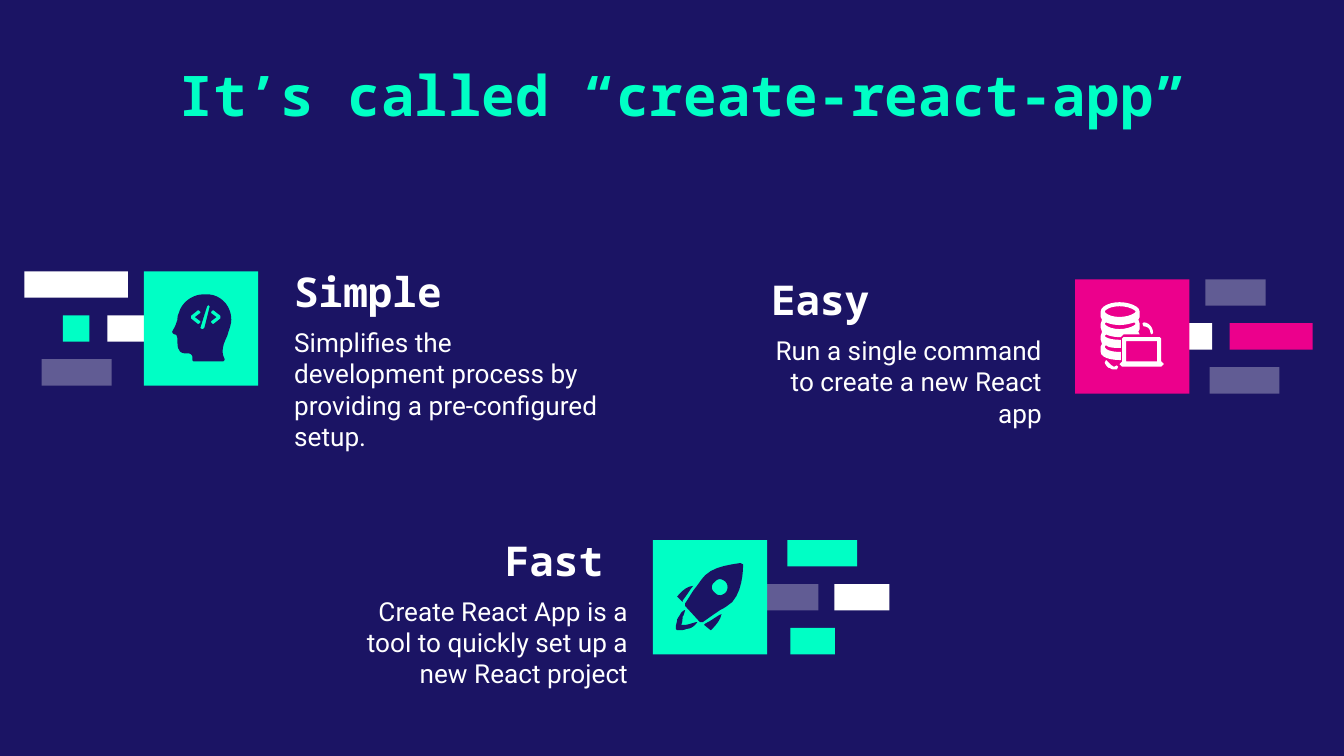
from lxml.etree import SubElement
from pptx import Presentation
from pptx.dml.color import RGBColor
from pptx.enum.shapes import MSO_SHAPE as Preset
from pptx.enum.text import MSO_ANCHOR as Anchor, PP_ALIGN as Align
from pptx.oxml.ns import qn
from pptx.util import Cm, Pt

NAVY = RGBColor(0x1B, 0x14, 0x64)
TEAL = RGBColor(0x00, 0xFF, 0xC5)
PINK = RGBColor(0xEC, 0x00, 0x8C)
WHITE = RGBColor(0xFF, 0xFF, 0xFF)
FADED = "faded"  # white at 31 % opacity
MONO, SANS = "Noto Sans Mono", "Roboto"

# Icons: closed contours on an 85-unit tile; inner contours are holes.
# A pair is a corner, six numbers are a Bezier curve to the last pair.
HEAD = [
    [(46, 17), (41, 17, 37, 18, 33, 21), (30, 23, 27, 27, 26, 31),
     (25, 33, 25, 34, 25, 36), (24, 38, 24, 40, 22, 43), (21, 45),
     (22, 47, 23, 47, 24, 47), (25, 49, 25, 50, 25, 52),
     (25, 54, 25, 57, 26, 58), (27, 61, 30, 61, 32, 61),
     (34, 61, 35, 61, 36, 63), (36, 66), (37, 67), (59, 67), (60, 66),
     (60, 65), (57, 60, 59, 54, 62, 48), (63, 44, 65, 40, 65, 36),
     (65, 32, 64, 28, 61, 24), (57, 19, 52, 17, 46, 17)],
    [(41, 29), (42, 30), (42, 31), (38, 34), (42, 37), (42, 38), (41, 39),
     (40, 39), (35, 35), (35, 33), (40, 29)],
    [(51, 29), (50, 30), (50, 31), (54, 34), (50, 37), (50, 38), (51, 39),
     (52, 39), (57, 35), (57, 33), (52, 29)],
    [(48, 25), (49, 26), (45, 42), (44, 43), (43, 43), (42, 42), (47, 26)],
]
DATABASE = [
    # cable arcs
    [(23, 60), (22, 62), (23, 64, 24, 66, 26, 66), (27, 67, 28, 67, 29, 67),
     (31, 67), (32, 65), (31, 64), (29, 65), (28, 65, 28, 64, 27, 64),
     (26, 63, 25, 62, 24, 61)],
    [(51, 32), (50, 33), (51, 35), (54, 35, 56, 37, 56, 40), (57, 41),
     (58, 40), (58, 36, 55, 32, 51, 32)],
    # stack of discs
    [(33, 17), (26, 17, 19, 20, 19, 24), (19, 28), (20, 30), (19, 33),
     (19, 36), (20, 39), (19, 42), (19, 45), (20, 48), (19, 50), (19, 54),
     (19, 58, 26, 60, 33, 60), (34, 60), (34, 54), (33, 54),
     (26, 54, 22, 52, 22, 50), (23, 49), (25, 51, 29, 51, 33, 51), (34, 51),
     (34, 45), (33, 45), (26, 45, 22, 43, 22, 42), (23, 41),
     (25, 42, 29, 43, 33, 43), (34, 43), (36, 41), (48, 41), (47, 39),
     (48, 37), (48, 33), (47, 30), (48, 28), (48, 24),
     (48, 20, 40, 17, 33, 17)],
    [(33, 20), (40, 20, 45, 23, 45, 24), (45, 25, 40, 28, 33, 28),
     (26, 28, 22, 25, 22, 24), (22, 23, 26, 20, 33, 20)],
    [(44, 32), (45, 33), (45, 34, 40, 37, 33, 37), (26, 37, 22, 34, 22, 33),
     (23, 32), (25, 33, 29, 34, 33, 34), (37, 34, 41, 33, 44, 32)],
    # laptop
    [(36, 43), (35, 44), (35, 61), (33, 63), (35, 65), (64, 65), (66, 63),
     (64, 61), (64, 44), (63, 43)],
    [(61, 46), (61, 61), (38, 61), (38, 46)],
]
ROCKET = [
    # fins
    [(30, 34), (24, 34, 18, 42, 18, 42), (22, 46), (22, 45),
     (26, 40, 28, 36, 30, 34)],
    [(51, 55), (48, 56, 45, 59, 39, 62), (38, 63), (43, 67),
     (43, 67, 50, 61, 51, 55)],
    # flame
    [(24, 52), (23, 52, 22, 53, 21, 54), (20, 56, 19, 57, 18, 59),
     (18, 61, 17, 63, 17, 65), (17, 66), (18, 67), (20, 67),
     (21, 67, 23, 67, 25, 66), (28, 66, 31, 64, 33, 61), (32, 61),
     (28, 62, 26, 63, 24, 63), (21, 63), (22, 61, 22, 59, 22, 57),
     (23, 56, 23, 55, 24, 52)],
    # body and porthole
    [(65, 17), (60, 18, 46, 19, 39, 26), (36, 29, 35, 31, 32, 35),
     (30, 37, 28, 41, 24, 47), (24, 49), (35, 61), (37, 61),
     (44, 56, 47, 54, 50, 52), (54, 50, 55, 49, 59, 46),
     (66, 38, 67, 25, 67, 19), (67, 18)],
    [(50, 29), (51, 29, 53, 30, 54, 31), (56, 33, 56, 37, 54, 39),
     (53, 40, 51, 41, 50, 41), (48, 41, 47, 40, 46, 39),
     (43, 37, 43, 33, 46, 31), (47, 30, 48, 29, 50, 29)],
]

TITLE = "It’s called “create-react-app”"
# Lengths in cm. tile: left, top. heading and body: left, width.
# bars: row, left, width, colour.
CARDS = [
    dict(heading="Simple", align=Align.LEFT, inset=0.25,
         body="Simplifies the development process by providing a "
              "pre-configured setup.",
         tile=(2.72, 5.13), color=TEAL, icon=HEAD, ink=NAVY,
         heading_at=(5.31, 6.02), body_at=(5.31, 6.32),
         bars=[(0, 0.46, 1.96, WHITE), (1, 1.19, 0.5, TEAL),
               (1, 2.03, 0.89, WHITE), (2, 0.79, 1.32, FADED)]),
    dict(heading="Easy", align=Align.RIGHT, inset=3.51,
         body="Run a single command to create a new React app",
         tile=(20.32, 5.28), color=PINK, icon=DATABASE, ink=WHITE,
         heading_at=(13.92, 6.02), body_at=(13.92, 6.02),
         bars=[(0, 22.78, 1.14, FADED), (1, 22.3, 0.61, WHITE),
               (1, 23.24, 1.57, PINK), (2, 22.86, 1.32, FADED)]),
    dict(heading="Fast", align=Align.RIGHT, inset=0.72,
         body="Create React App is a tool to quickly set up a new React "
              "project",
         tile=(12.34, 10.21), color=TEAL, icon=ROCKET, ink=NAVY,
         heading_at=(8.13, 3.99), body_at=(6.1, 6.02),
         bars=[(0, 14.88, 1.32, TEAL), (1, 14.33, 1.14, FADED),
               (1, 15.77, 1.04, WHITE), (2, 14.94, 0.84, TEAL)]),
]
TILE, BAR_HEIGHT = 2.16, 0.5
ROW_STEP = (TILE - BAR_HEIGHT) / 2
GRID = 100  # icon steps per unit

prs = Presentation()
prs.slide_width, prs.slide_height = Cm(25.4), Cm(14.29)
slide = prs.slides.add_slide(prs.slide_layouts[6])
slide.background.fill.solid()
slide.background.fill.fore_color.rgb = NAVY


def paint(shape, color):
    shape.shadow.inherit = False
    shape.line.fill.background()
    shape.fill.solid()
    shape.fill.fore_color.rgb = WHITE if color == FADED else color
    if color == FADED:
        tint = shape.fill._xPr.find(qn("a:solidFill"))[0]
        SubElement(tint, qn("a:alpha")).set("val", "31000")


def add_block(left, top, width, height, color):
    paint(slide.shapes.add_shape(
        Preset.RECTANGLE, Cm(left), Cm(top), Cm(width), Cm(height)), color)


def add_text(text, left, top, width, height, font, size, color, align,
             anchor=Anchor.TOP, bold=False, inset_top=0, inset_right=0.25):
    box = slide.shapes.add_textbox(Cm(left), Cm(top), Cm(width), Cm(height))
    frame = box.text_frame
    frame.word_wrap, frame.vertical_anchor = True, anchor
    frame.margin_left, frame.margin_right = Cm(0.25), Cm(inset_right)
    frame.margin_top, frame.margin_bottom = Cm(inset_top), 0
    frame.text = text
    frame.paragraphs[0].alignment = align
    style = frame.paragraphs[0].runs[0].font
    style.name, style.size, style.bold = font, Pt(size), bold
    style.color.rgb = color


def flatten(contour, steps=6):
    """Turn corners and curves into points on the icon grid."""
    points = []
    for part in contour:
        if len(part) == 2:
            points.append(part)
            continue
        knots = [points[-1], part[:2], part[2:4], part[4:]]
        for t in (i / steps for i in range(1, steps + 1)):
            weights = ((1 - t) ** 3, 3 * t * (1 - t) ** 2,
                       3 * t * t * (1 - t), t ** 3)
            points.append(tuple(sum(w * k[axis] for w, k in zip(weights, knots))
                                for axis in (0, 1)))
    return [(x * GRID, y * GRID) for x, y in points]


def add_icon(contours, left, top, color):
    outlines = [flatten(contour) for contour in contours]
    builder = slide.shapes.build_freeform(
        *outlines[0][0], scale=Cm(TILE) / (85 * GRID))
    for i, points in enumerate(outlines):
        if i:
            builder.move_to(*points[0])
        builder.add_line_segments(points[1:], close=True)
    paint(builder.convert_to_shape(Cm(left), Cm(top)), color)


# Title
add_text(TITLE, 2.62, 0.89, 20.6, 1.85, MONO, 30, TEAL, Align.CENTER,
         bold=True, inset_top=0.25)

# Cards: bars behind the tile, then icon and text
for card in CARDS:
    left, top = card["tile"]
    for row, bar_left, width, color in card["bars"]:
        add_block(bar_left, top + row * ROW_STEP, width, BAR_HEIGHT, color)
    add_block(left, top, TILE, TILE, card["color"])
    add_icon(card["icon"], left, top, card["ink"])
    x, width = card["heading_at"]
    add_text(card["heading"], x, top - 0.15, width, 0.99, MONO, 22, WHITE,
             card["align"], Anchor.BOTTOM, True, inset_right=card["inset"])
    x, width = card["body_at"]
    add_text(card["body"], x, top + 1.04, width, 1.14, SANS, 14, WHITE,
             card["align"])

prs.save("out.pptx")
